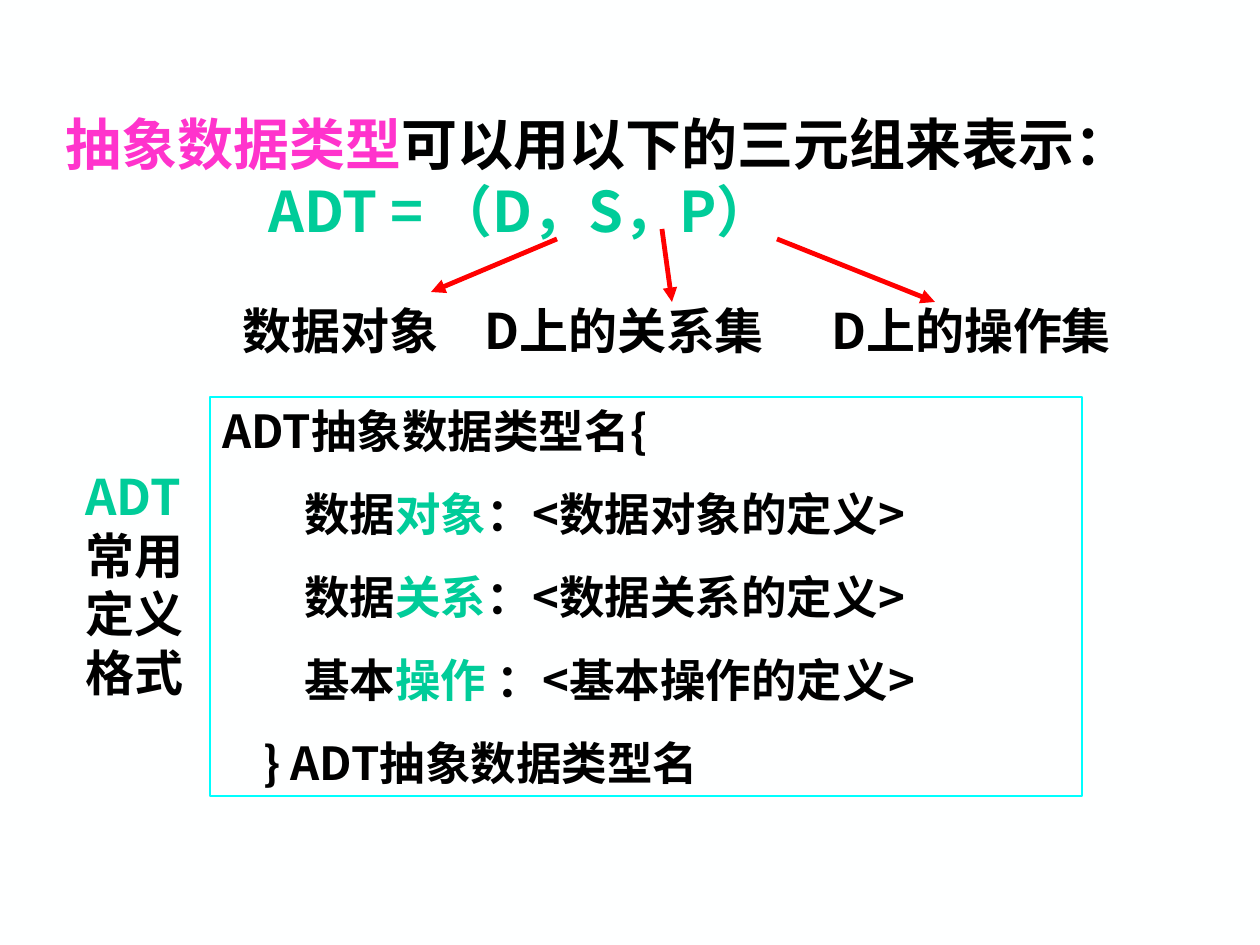
from lxml import etree
from pptx import Presentation
from pptx.dml.color import RGBColor
from pptx.enum.shapes import MSO_CONNECTOR, MSO_SHAPE
from pptx.enum.text import MSO_ANCHOR, PP_ALIGN
from pptx.oxml.ns import qn
from pptx.util import Emu, Pt

LINE, RECT = MSO_CONNECTOR.STRAIGHT, MSO_SHAPE.RECTANGLE
LEFT, TOP = PP_ALIGN.LEFT, MSO_ANCHOR.TOP
FONT = "Noto Sans CJK SC"
BLACK, GREEN, PINK = "000000", "00CC99", "FF33CC"
RED, CYAN, PAPER = "FF0000", "00FFFF", "FEFFFF"
SCALE = 914400 // 126

# Content: each row has runs of (text, colour), then its format in px and pt
INTRO = [
    ([("抽象数据类型", PINK), ("可以用以下的三元组来表示：", BLACK)], {"size": 32}),
    ([("ADT = （D，S，P）", GREEN)], {"size": 32, "indent": 203}),
]
# Label, left, width
PARTS = [("数据对象", 230, 230), ("D上的关系集", 472, 330), ("D上的操作集", 819, 330)]
FIELDS = [("数据", "对象", "：<数据对象的定义>"),
          ("数据", "关系", "：<数据关系的定义>"),
          ("基本", "操作", " ：<基本操作的定义>")]
GAP = {"size": 26, "before": 16.2}
FORM = [
    ([("ADT抽象数据类型名{", BLACK)], {"size": 26}),
    *[(list(zip(field, (BLACK, GREEN, BLACK))), {**GAP, "indent": 82})
      for field in FIELDS],
    ([("} ADT抽象数据类型名", BLACK)], {**GAP, "indent": 41}),
]
SIDE = [([("ADT", GREEN), ("常用定义格式", BLACK)], {"size": 28})]
ARROWS = [(557, 239, 431, 292), (662, 229, 672, 302), (777, 239, 935, 302)]


def px(n):
    return Emu(n * SCALE)


def rgb(code):
    return RGBColor.from_string(code)


def write(shape, rows):
    frame = shape.text_frame
    frame.word_wrap = True
    frame.vertical_anchor = TOP
    for i, (runs, form) in enumerate(rows):
        para = frame.add_paragraph() if i else frame.paragraphs[0]
        para.alignment = LEFT
        para.space_before = Pt(form.get("before", 0))
        props = para._p.get_or_add_pPr()
        props.set("marL", str(px(form.get("indent", 0))))
        props.set("indent", "0")
        for text, color in runs:
            run = para.add_run()
            run.text = text
            look = {"name": FONT, "size": Pt(form["size"]), "bold": True}
            for key, value in look.items():
                setattr(run.font, key, value)
            run.font.color.rgb = rgb(color)
            etree.SubElement(run._r.get_or_add_rPr(), qn("a:ea"), typeface=FONT)


deck = Presentation()
deck.slide_width, deck.slide_height = px(1260), px(945)
slide = deck.slides.add_slide(deck.slide_layouts[6])
slide.background.fill.solid()
slide.background.fill.fore_color.rgb = rgb(PAPER)
shapes = slide.shapes

# Triple and the labels of its parts
write(shapes.add_textbox(px(53), px(103), px(1155), px(146)), INTRO)
for name, left, width in PARTS:
    label = shapes.add_textbox(px(left), px(294), px(width), px(72))
    write(label, [([(name, BLACK)], {"size": 28})])

# Framed definition form
frame = shapes.add_shape(RECT, px(210), px(397), px(872), px(399))
frame.shadow.inherit = False
frame.fill.background()
frame.line.color.rgb = rgb(CYAN)
frame.line.width = Pt(0.75)
write(frame, FORM)

# Side caption
write(shapes.add_textbox(px(73), px(460), px(136), px(248)), SIDE)

# Arrows from the triple to its parts
for ends in ARROWS:
    arrow = shapes.add_connector(LINE, *map(px, ends))
    arrow.line.color.rgb = rgb(RED)
    arrow.line.width = Pt(2.75)
    etree.SubElement(arrow.line._get_or_add_ln(), qn("a:tailEnd"), type="triangle")
    etree.SubElement(arrow._element.spPr, qn("a:effectLst"))

deck.save("out.pptx")
